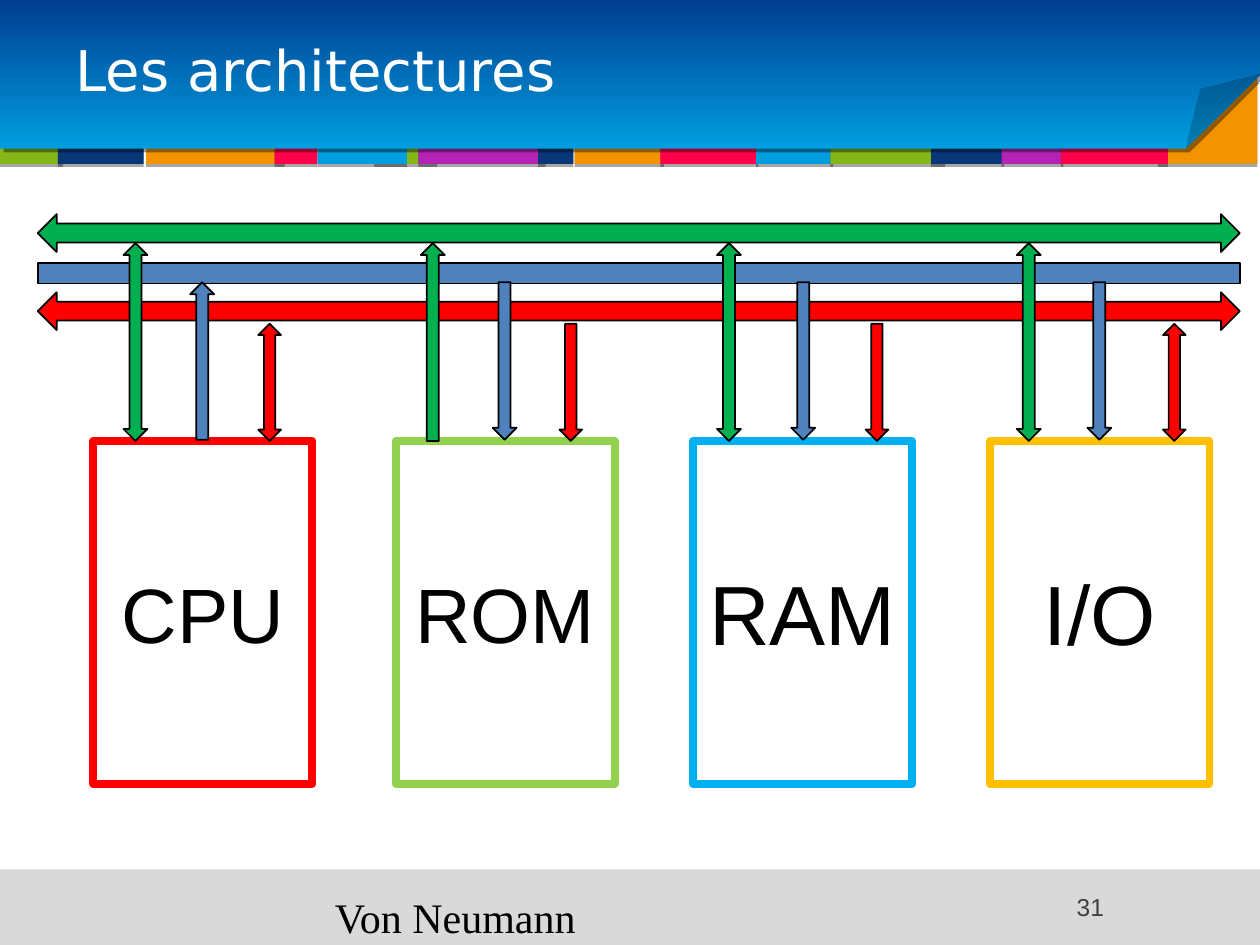
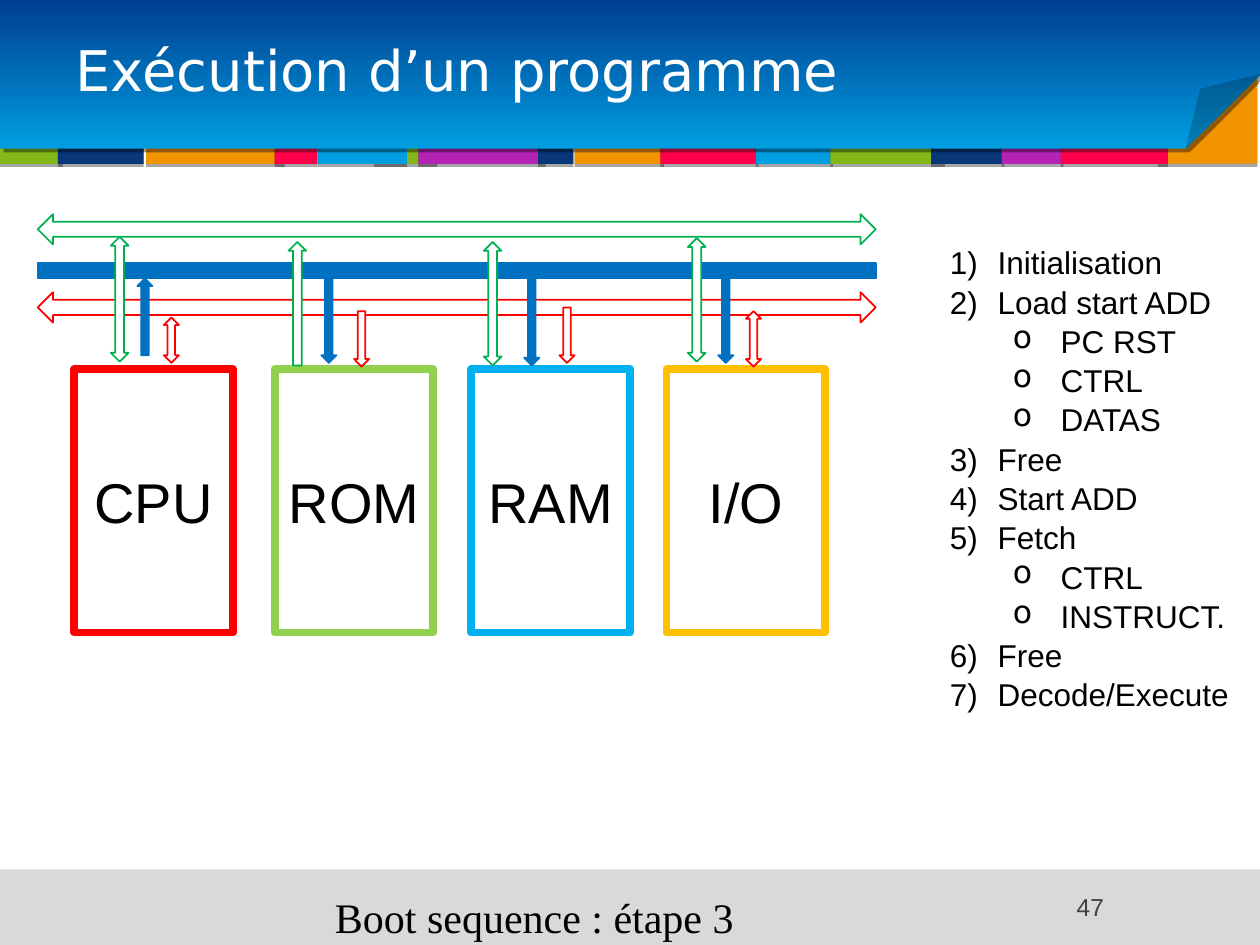
from lxml import etree
from pptx import Presentation
from pptx.dml.color import RGBColor
from pptx.enum.shapes import MSO_SHAPE
from pptx.enum.text import MSO_ANCHOR, PP_ALIGN
from pptx.oxml.ns import qn
from pptx.util import Inches, Pt

RECT = MSO_SHAPE.RECTANGLE
FOLDED = MSO_SHAPE.FOLDED_CORNER
ACROSS = MSO_SHAPE.LEFT_RIGHT_ARROW
BOTH = MSO_SHAPE.UP_DOWN_ARROW
UP = MSO_SHAPE.UP_ARROW
DOWN = MSO_SHAPE.DOWN_ARROW
LEFT, CENTER, RIGHT = PP_ALIGN.LEFT, PP_ALIGN.CENTER, PP_ALIGN.RIGHT
MIDDLE = MSO_ANCHOR.MIDDLE

BLACK, WHITE, GREY, DARK_GREY = "000000", "FFFFFF", "D9D9D9", "404040"
GREEN, RED, STEEL, BLUE = "00B050", "FF0000", "4F81BD", "0070C0"
LIME, NAVY, ORANGE = "83B818", "073779", "F29400"
PINK, CYAN, PURPLE, DEEP_BLUE = "FF014B", "009EE0", "B523B4", "003E90"

STRIPE_TOP, STRIPE_HEIGHT = 0.82, 0.48
STRIPES = [
    (2.97, 0.5, LIME), (0, 0.5, LIME), (0.46, 0.68, NAVY),
    (1.16, 1.1, ORANGE), (2.18, 0.34, PINK), (2.52, 0.71, CYAN),
    (3.32, 1.01, PURPLE), (4.27, 0.28, NAVY), (4.56, 0.71, ORANGE),
    (5.24, 0.78, PINK), (6, 0.61, CYAN), (6.59, 0.91, LIME),
    (7.39, 0.58, NAVY), (7.95, 0.49, PURPLE), (8.42, 0.85, PINK),
]

UNIT_COLOURS = {"CPU": RED, "ROM": "92D050", "RAM": "00B0F0", "I/O": "FFC000"}


def level_taps(top, height, *taps):
    return [(kind, x, top, height) for kind, x in taps]


SLIDES = [
    {
        "title": "Les architectures",
        "footer": "Von Neumann",
        "number": "31",
        "unit_box": (3.5, 1.74, 2.72),
        "units": [("CPU", 0.74, 44), ("ROM", 3.14, 44),
                  ("RAM", 5.5, 48), ("I/O", 7.86, 48)],
        "bus_width": 9.54,
        "buses": [
            (ACROSS, 1.7, 0.3, GREEN, BLACK, 0.19, level_taps(
                1.93, 1.57, (BOTH, 0.98), (BOTH, 5.69), (BOTH, 8.07), (UP, 3.34))),
            (RECT, 2.09, 0.16, STEEL, BLACK, 0.19, level_taps(
                2.24, 1.25, (UP, 1.51), (DOWN, 3.91), (DOWN, 6.28), (DOWN, 8.63))),
            (ACROSS, 2.32, 0.3, RED, BLACK, 0.18, level_taps(
                2.57, 0.93, (BOTH, 2.05), (DOWN, 4.44), (DOWN, 6.87), (BOTH, 9.23))),
        ],
        "steps": [],
    },
    {
        "title": "Exécution d’un programme",
        "footer": "Boot sequence : étape 3",
        "number": "47",
        "unit_box": (2.93, 1.26, 2.09),
        "units": [("CPU", 0.59, 32), ("ROM", 2.18, 32),
                  ("RAM", 3.74, 32), ("I/O", 5.29, 32)],
        "bus_width": 6.65,
        "buses": [
            (ACROSS, 1.7, 0.24, WHITE, GREEN, 0.14, [
                (BOTH, 0.88, 1.88, 0.99), (BOTH, 3.84, 1.92, 0.98),
                (BOTH, 5.46, 1.89, 0.98), (UP, 2.29, 1.92, 0.98)]),
            (RECT, 2.09, 0.12, BLUE, BLUE, 0.12, [
                (UP, 1.09, 2.21, 0.61), (DOWN, 2.55, 2.15, 0.73),
                (DOWN, 4.16, 2.17, 0.73), (DOWN, 5.7, 2.15, 0.73)]),
            (ACROSS, 2.32, 0.24, WHITE, RED, 0.12, [
                (BOTH, 1.3, 2.52, 0.36), (DOWN, 2.81, 2.47, 0.44),
                (DOWN, 4.44, 2.44, 0.44), (BOTH, 5.92, 2.47, 0.44)]),
        ],
        "steps": [
            ("Initialisation", []),
            ("Load start ADD", ["PC RST", "CTRL", "DATAS"]),
            ("Free", []),
            ("Start ADD", []),
            ("Fetch", ["CTRL", "INSTRUCT."]),
            ("Free", []),
            ("Decode/Execute", []),
        ],
    },
]


def rgb(colour):
    return RGBColor.from_string(colour)


def add_box(s, kind, at, fill, line=None, width=1):
    sp = s.shapes.add_shape(kind, *map(Inches, at))
    sp.shadow.inherit = False
    sp.fill.solid()
    sp.fill.fore_color.rgb = rgb(fill)
    if line:
        sp.line.color.rgb = rgb(line)
        sp.line.width = Pt(width)
    else:
        sp.line.fill.background()
    return sp


def set_font(p, size, name, colour, align=LEFT):
    p.alignment = align
    p.font.size = Pt(size)
    p.font.name = name
    p.font.color.rgb = rgb(colour)


def add_text(s, at, text, *font):
    tf = s.shapes.add_textbox(*map(Inches, at)).text_frame
    tf.word_wrap = True
    tf.text = text
    set_font(tf.paragraphs[0], *font)


def add_shadow(sp, opacity, distance, angle):
    effects = sp._element.spPr.find(qn("a:effectLst"))
    shadow = etree.SubElement(effects, qn("a:outerShdw"), blurRad="0",
                              dist=str(Pt(distance)), dir=str(angle * 60000),
                              algn="ctr", rotWithShape="0")
    colour = etree.SubElement(shadow, qn("a:srgbClr"), val=BLACK)
    etree.SubElement(colour, qn("a:alpha"), val=str(opacity * 1000))


def build_layout(layout, s):
    stripes = [((x, STRIPE_TOP, w, STRIPE_HEIGHT), c) for x, w, c in STRIPES]
    stripes.insert(1, ((9.19, 0.47, 0.79, 0.83), ORANGE))
    flat = [add_box(s, RECT, at, c) for at, c in stripes]
    banner = add_box(s, FOLDED, (0, 0, 10, 1.18), CYAN)
    guides = banner._element.spPr.find(qn("a:prstGeom")).find(qn("a:avLst"))
    etree.SubElement(guides, qn("a:gd"), name="adj", fmla="val 50000")
    banner.fill.gradient()
    banner.fill.gradient_angle = 90
    for stop, colour, position in zip(banner.fill.gradient_stops,
                                      (CYAN, DEEP_BLUE), (0, 1)):
        stop.color.rgb = rgb(colour)
        stop.position = position
    footer = add_box(s, RECT, (0, 6.9, 10, 0.6), GREY)
    for sp in flat + [footer]:
        add_shadow(sp, 35, 1.8, 90)
    add_shadow(banner, 40, 3, 45)
    for i, sp in enumerate(flat + [banner, footer]):
        sp._element.nvSpPr.cNvPr.set("id", str(100 + i))
        layout.shapes._spTree.insert(2 + i, sp._element)


def add_frame(s, content):
    title = s.shapes.title
    title.left, title.top, title.width, title.height = map(
        Inches, (0.5, 0.07, 9, 1.03))
    tf = title.text_frame
    tf.text = content["title"]
    tf.vertical_anchor = MIDDLE
    p = tf.paragraphs[0]
    p.line_spacing = 0.9
    set_font(p, 32, "DejaVu Sans", WHITE)
    add_text(s, (2.56, 7.03, 4.88, 0.37), content["footer"],
             24, "Times New Roman", BLACK)
    add_text(s, (7.68, 7.03, 1.18, 0.37), content["number"],
             14, "Arial", DARK_GREY, RIGHT)


def add_diagram(s, content):
    top, width, height = content["unit_box"]
    for name, x, size in content["units"]:
        sp = add_box(s, RECT, (x, top, width, height), WHITE,
                     UNIT_COLOURS[name], 4.5)
        tf = sp.text_frame
        tf.text = name
        tf.vertical_anchor = MIDDLE
        set_font(tf.paragraphs[0], size, "Arial", BLACK, CENTER)
    for kind, y, h, fill, line, _, _ in content["buses"]:
        add_box(s, kind, (0.3, y, content["bus_width"], h), fill, line)
    for _, _, _, fill, line, w, taps in content["buses"]:
        for kind, x, y, h in taps:
            add_box(s, kind, (x, y, w, h), fill, line)


def add_steps(s, steps):
    tf = s.shapes.add_textbox(*map(Inches, (7.44, 1.87, 2.46, 3.7))).text_frame
    tf.word_wrap = True
    rows = [row for step, details in steps
            for row in [(step, 0)] + [(d, 1) for d in details]]
    for i, (text, level) in enumerate(rows):
        p = tf.add_paragraph() if i else tf.paragraphs[0]
        p.text = text
        p.level = level
        p.line_spacing = 1.04
        set_font(p, 18, "Arial", BLACK)
        pPr = p._p.get_or_add_pPr()
        pPr.set("marL", str(Inches(0.38 + 0.5 * level)))
        pPr.set("indent", str(Inches(-0.38)))
        tag, key, value = (("a:buChar", "char", "o") if level
                           else ("a:buAutoNum", "type", "arabicParenR"))
        bullet = etree.Element(qn(tag))
        bullet.set(key, value)
        pPr.find(qn("a:defRPr")).addprevious(bullet)


def main():
    prs = Presentation()
    prs.slide_width, prs.slide_height = Inches(10), Inches(7.5)
    layout = prs.slide_layouts[5]
    for i, content in enumerate(SLIDES):
        s = prs.slides.add_slide(layout)
        if i == 0:
            build_layout(layout, s)
        add_frame(s, content)
        add_diagram(s, content)
        if content["steps"]:
            add_steps(s, content["steps"])
    prs.save("out.pptx")


if __name__ == "__main__":
    main()
